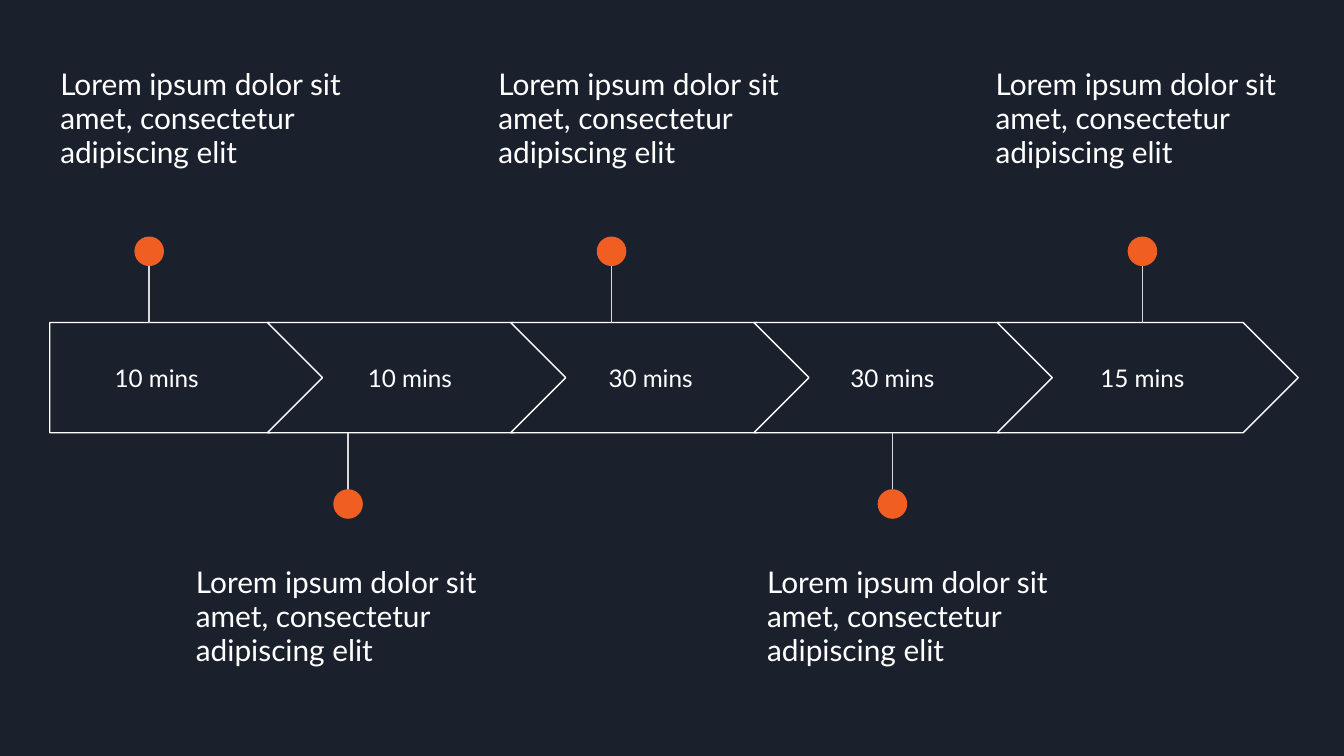
from dataclasses import dataclass

from lxml import etree
from pptx import Presentation
from pptx.dml.color import RGBColor
from pptx.enum.shapes import MSO_CONNECTOR, MSO_SHAPE
from pptx.enum.text import MSO_ANCHOR, PP_ALIGN
from pptx.oxml.ns import qn
from pptx.util import Inches, Pt

STRAIGHT = MSO_CONNECTOR.STRAIGHT
PENTAGON, CHEVRON, OVAL = MSO_SHAPE.PENTAGON, MSO_SHAPE.CHEVRON, MSO_SHAPE.OVAL
TOP, MIDDLE = MSO_ANCHOR.TOP, MSO_ANCHOR.MIDDLE
LEFT, CENTER = PP_ALIGN.LEFT, PP_ALIGN.CENTER

SLIDE_WIDTH = Inches(10)
SLIDE_HEIGHT = SLIDE_WIDTH * 9 // 16
GRID = SLIDE_WIDTH / 10  # one column or row of the grid

NAVY, WHITE, GREY, ORANGE = "1B212C", "FFFFFF", "D9D9D9", "F15E22"
FONT = "Lato"
LINE_WIDTH = Pt(0.75)

# Columns and rows of the timeline
BAND_TOP, BAND_HEIGHT = 2.4, 0.82
BAND_MIDDLE = BAND_TOP + BAND_HEIGHT / 2
FIRST_LEFT, FIRST_WIDTH = 0.37, 2.05
CHEVRON_LEFT, CHEVRON_WIDTH, CHEVRON_STEP = 1.99, 2.24, 1.81
DURATION_HEIGHT = 0.51
NOTE_WIDTH, NOTE_HEIGHT = 2.45, 0.99
NOTE_TOP_ABOVE, NOTE_TOP_BELOW = 0.41, 4.11
DOT_SIZE, DOT_DISTANCE = 0.22, 0.94

NOTE = "Lorem ipsum dolor sit amet, consectetur adipiscing elit"


@dataclass(frozen=True)
class Stage:
    duration: str
    duration_left: float
    pin_x: float
    note_left: float
    duration_width: float = 1.44
    note: str = NOTE


STAGES = [
    Stage("10 mins", 0.37, 1.11, 0.35, duration_width=1.59),
    Stage("10 mins", 2.33, 2.59, 1.36),
    Stage("30 mins", 4.12, 4.55, 3.61),
    Stage("30 mins", 5.92, 6.64, 5.61),
    Stage("15 mins", 7.78, 8.5, 7.31),
]


def color(hex_value: str) -> RGBColor:
    return RGBColor.from_string(hex_value)


def grid(*cells: float) -> list[int]:
    """Turn columns and rows into slide lengths."""
    return [round(cell * GRID) for cell in cells]


def add_solid(slide, kind, box: tuple, fill: str, outline: str | None = None):
    solid = slide.shapes.add_shape(kind, *grid(*box))
    solid.shadow.inherit = False
    solid.fill.solid()
    solid.fill.fore_color.rgb = color(fill)
    if outline:
        solid.line.color.rgb = color(outline)
        solid.line.width = LINE_WIDTH
    else:
        solid.line.fill.background()
    return solid


def add_text(slide, text: str, box: tuple, size: float, anchor, alignment):
    frame = slide.shapes.add_textbox(*grid(*box)).text_frame
    frame.word_wrap = True
    frame.vertical_anchor = anchor
    frame.margin_left = frame.margin_right = Inches(0.1)
    frame.margin_top = frame.margin_bottom = Inches(0.1)
    paragraph = frame.paragraphs[0]
    paragraph.text = text
    paragraph.alignment = alignment
    paragraph.font.name = FONT
    paragraph.font.size = Pt(size)
    paragraph.font.color.rgb = color(WHITE)
    return paragraph


def add_pin(slide, x: float, above: bool) -> None:
    """Draw a stem from the band's edge to a dot above or below it."""
    direction = -1 if above else 1
    dot_y = BAND_MIDDLE + direction * DOT_DISTANCE
    edge_y = BAND_MIDDLE + direction * BAND_HEIGHT / 2
    stem = slide.shapes.add_connector(STRAIGHT, *grid(x, dot_y, x, edge_y))
    stem.line.color.rgb = color(GREY)
    stem.line.width = LINE_WIDTH
    etree.SubElement(stem._element.spPr, qn("a:effectLst"))
    radius = DOT_SIZE / 2
    add_solid(slide, OVAL, (x - radius, dot_y - radius, DOT_SIZE, DOT_SIZE), ORANGE)


def add_stage(slide, position: int, stage: Stage) -> None:
    if position == 0:
        kind, left, width = PENTAGON, FIRST_LEFT, FIRST_WIDTH
    else:
        kind, width = CHEVRON, CHEVRON_WIDTH
        left = CHEVRON_LEFT + (position - 1) * CHEVRON_STEP
    arrow = add_solid(slide, kind, (left, BAND_TOP, width, BAND_HEIGHT), NAVY, WHITE)
    arrow.adjustments[0] = 0.5

    duration_top = BAND_MIDDLE - DURATION_HEIGHT / 2
    add_text(slide, stage.duration,
             (stage.duration_left, duration_top, stage.duration_width, DURATION_HEIGHT),
             13, MIDDLE, CENTER)

    above = position % 2 == 0
    add_pin(slide, stage.pin_x, above)
    note_top = NOTE_TOP_ABOVE if above else NOTE_TOP_BELOW
    note = add_text(slide, stage.note,
                    (stage.note_left, note_top, NOTE_WIDTH, NOTE_HEIGHT),
                    16, TOP, LEFT)
    note.line_spacing = 0.95
    note.space_after = Pt(12)


def main() -> None:
    presentation = Presentation()
    presentation.slide_width = SLIDE_WIDTH
    presentation.slide_height = SLIDE_HEIGHT
    blank_layout = presentation.slide_layouts[6]
    slide = presentation.slides.add_slide(blank_layout)
    slide.background.fill.solid()
    slide.background.fill.fore_color.rgb = color(NAVY)
    for position, stage in enumerate(STAGES):
        add_stage(slide, position, stage)
    presentation.save("out.pptx")


if __name__ == "__main__":
    main()
